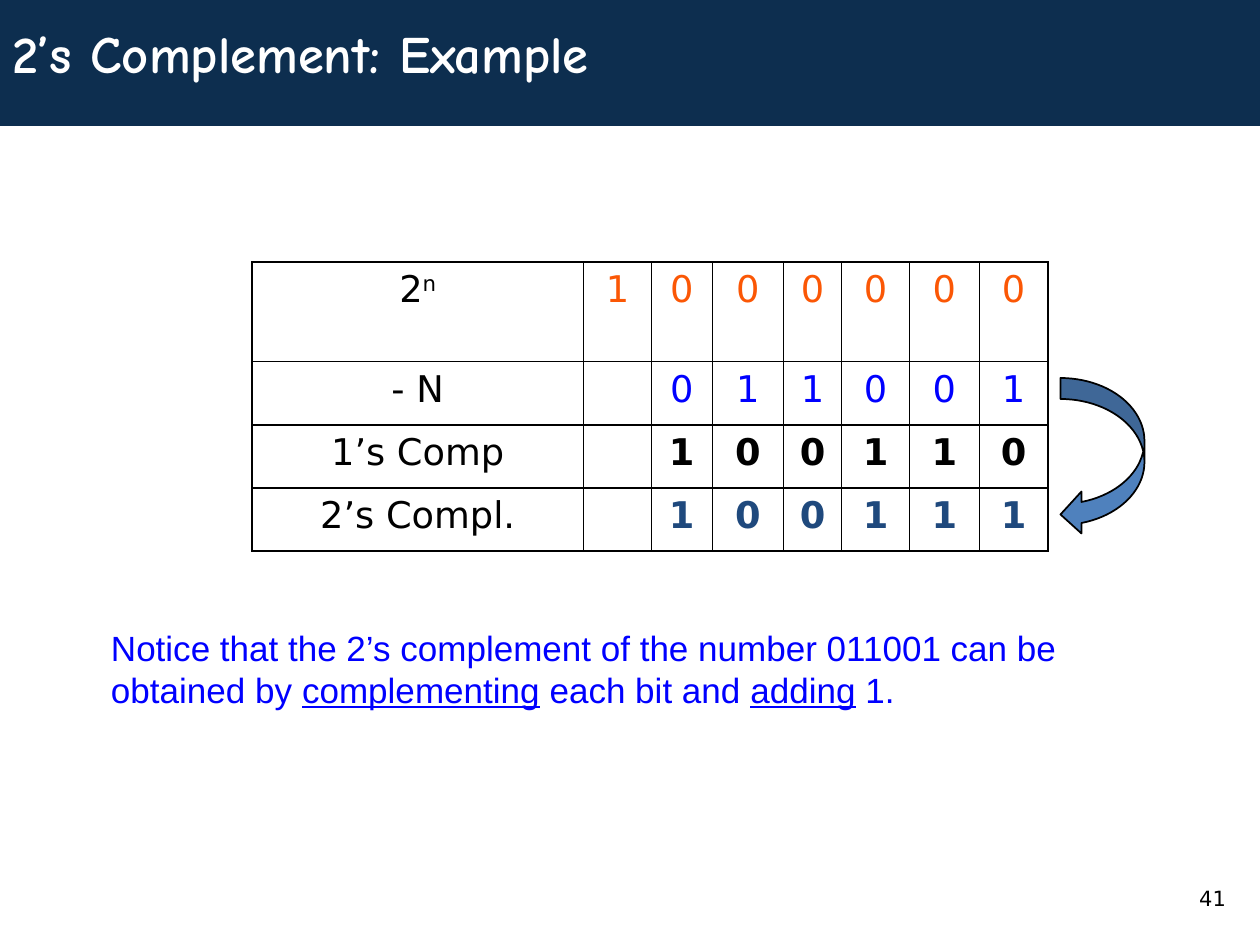
"""Builds the slide with the worked two's complement example."""
from lxml.etree import SubElement
from pptx import Presentation
from pptx.dml.color import RGBColor
from pptx.enum.shapes import MSO_SHAPE as Shape
from pptx.enum.text import MSO_ANCHOR as Anchor, MSO_AUTO_SIZE as AutoSize, PP_ALIGN as Align
from pptx.oxml import parse_xml
from pptx.oxml.ns import nsdecls, qn
from pptx.util import Pt

NAVY = RGBColor(0x0D, 0x2E, 0x4F)
WHITE = RGBColor(0xFF, 0xFF, 0xFF)
BLACK = RGBColor(0, 0, 0)
BLUE = RGBColor(0, 0, 0xFF)
ORANGE = RGBColor(0xFB, 0x57, 0x05)
STEEL = RGBColor(0x1F, 0x49, 0x7D)
SKY = RGBColor(0x4F, 0x81, 0xBD)

THIN, THICK = 0.45, 1.08
COLUMN_WIDTHS = [189.4, 38.9, 34.6, 41, 33.1, 38.9, 39.6, 39.6]
ROW_HEIGHTS = [56.9, 36, 36, 36]
COLUMN_RULES = [THICK] + [THIN] * 7 + [THICK]
ROW_RULES = [THICK, THIN, THICK, THICK, THICK]
ROWS = [
    ("2", "n", "1000000", ORANGE, False),
    ("- N", "", "011001", BLUE, False),
    ("1’s Comp", "", "100110", BLACK, True),
    ("2’s Compl.", "", "100111", STEEL, True),
]


class SlideBuilder:
    """Holds the style and the current slide."""

    title_font, body_font, table_font = "Comic Neue", "Arial", "DejaVu Sans"

    def __init__(self, deck):
        self.page = deck.slides.add_slide(deck.slide_layouts[1])

    def place(self, shape, left, top, width, height):
        shape.left, shape.top = Pt(left), Pt(top)
        shape.width, shape.height = Pt(width), Pt(height)

    def span(self, para, text, font, size, color, bold=False, underline=False):
        span = para.add_run()
        span.text = text
        span.font.name, span.font.size = font, Pt(size)
        span.font.bold, span.font.underline = bold, underline
        span.font.color.rgb = color
        return span

    def preset(self, kind, left, top, width, height, fill, line=None):
        shape = self.page.shapes.add_shape(kind, Pt(left), Pt(top), Pt(width), Pt(height))
        shape.shadow.inherit = False
        shape.fill.solid()
        shape.fill.fore_color.rgb = fill
        if line is None:
            shape.line.fill.background()
        else:
            shape.line.color.rgb, shape.line.width = line, Pt(1)
        return shape

    def banner(self, height, fill):
        band = self.preset(Shape.RECTANGLE, 0, 0, 720, height, fill)
        self.page.shapes.element.insert(2, band.element)

    def title(self, text):
        box = self.page.shapes.title
        self.place(box, 0, 0, 720, 60.5)
        frame = box.text_frame
        frame.auto_size, frame.vertical_anchor = AutoSize.NONE, Anchor.MIDDLE
        para = frame.paragraphs[0]
        para.alignment = Align.LEFT
        self.span(para, text, self.title_font, 30, WHITE, bold=True)

    def body(self, parts):
        box = self.page.placeholders[1]
        self.place(box, 56.2, 354.2, 630, 72)
        box.text_frame.auto_size = AutoSize.NONE
        para = box.text_frame.paragraphs[0]
        properties = para._p.get_or_add_pPr()
        properties.set("marL", "0")
        properties.set("indent", "0")
        SubElement(properties, qn("a:buNone"))
        para.space_before = Pt(0)
        for text, underline in parts:
            self.span(para, text, self.body_font, 20, BLUE, underline=underline)

    def page_number(self, text):
        box = self.page.shapes.add_textbox(Pt(678.2), Pt(502.6), Pt(41.8), Pt(36))
        box.text_frame.word_wrap = True
        self.span(box.text_frame.paragraphs[0], text, self.table_font, 12, BLACK)

    def borders(self, cell, widths):
        properties = cell._tc.get_or_add_tcPr()
        for index, (side, width) in enumerate(zip("LRTB", widths)):
            properties.insert(index, parse_xml(
                f'<a:ln{side} {nsdecls("a")} w="{Pt(width)}"><a:solidFill>'
                f'<a:srgbClr val="{BLACK}"/></a:solidFill></a:ln{side}>'))

    def table(self, left, top):
        frame = self.page.shapes.add_table(
            len(ROW_HEIGHTS), len(COLUMN_WIDTHS), Pt(left), Pt(top),
            Pt(sum(COLUMN_WIDTHS)), Pt(sum(ROW_HEIGHTS)))
        grid = frame.table
        grid.first_row = grid.horz_banding = False
        for column, width in zip(grid.columns, COLUMN_WIDTHS):
            column.width = Pt(width)
        for y, (label, power, digits, color, bold) in enumerate(ROWS):
            grid.rows[y].height = Pt(ROW_HEIGHTS[y])
            for x, text in enumerate([label, *digits.rjust(7)]):
                cell = grid.cell(y, x)
                cell.fill.background()
                self.borders(cell, COLUMN_RULES[x:x + 2] + ROW_RULES[y:y + 2])
                para = cell.text_frame.paragraphs[0]
                para.alignment = Align.CENTER
                if x == 0:
                    self.span(para, text, self.table_font, 21, BLACK)
                elif text.strip():
                    self.span(para, text, self.table_font, 21, color, bold)
            if power:
                para = grid.cell(y, 0).text_frame.paragraphs[0]
                span = self.span(para, power, self.table_font, 21, BLACK)
                span.font._element.set("baseline", "30000")


def main():
    deck = Presentation()
    deck.slide_width, deck.slide_height = Pt(720), Pt(540)
    slide = SlideBuilder(deck)
    slide.banner(72, NAVY)
    slide.page_number("41")
    slide.title("2’s Complement: Example")
    slide.body([
        ("Notice that the 2’s complement of the number 011001 can be obtained by ", False),
        ("complementing", True),
        (" each bit and ", False),
        ("adding", True),
        (" 1.", False),
    ])
    slide.table(144, 149.8)
    slide.preset(Shape.CURVED_LEFT_ARROW, 606, 216, 48, 90, SKY, BLACK)
    deck.save("out.pptx")


if __name__ == "__main__":
    main()
